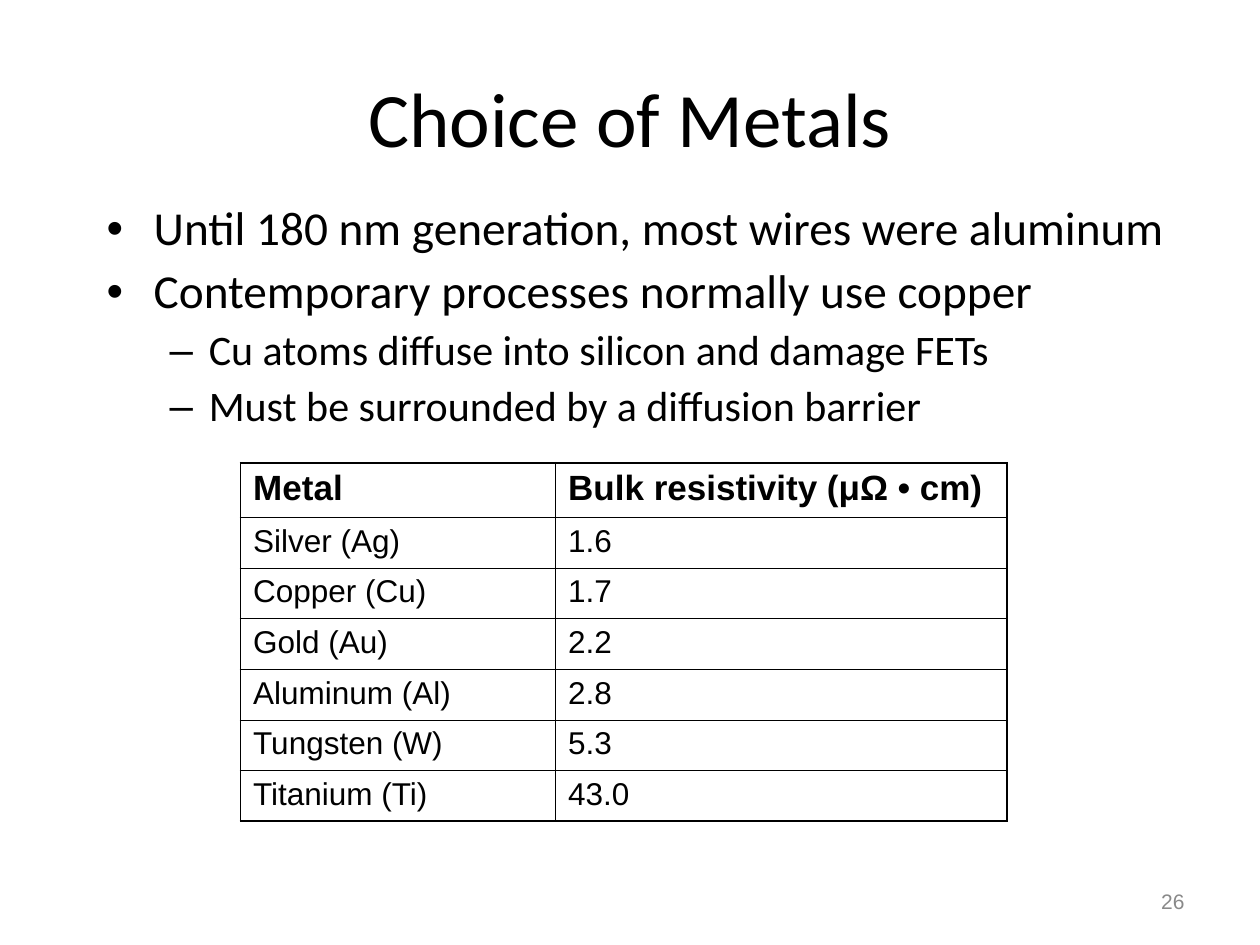
from dataclasses import dataclass

from pptx import Presentation
from pptx.dml.color import RGBColor
from pptx.enum.text import MSO_ANCHOR, PP_ALIGN
from pptx.oxml.ns import qn
from pptx.util import Cm, Pt
from lxml.etree import SubElement


@dataclass(frozen=True)
class Theme:
    ink: str = "000000"
    muted: str = "898989"
    paper: str = "FFFFFF"
    heading_font: str = "Calibri"
    table_font: str = "Arial"
    title_size: float = 44
    level_sizes: tuple = (27, 24)
    header_size: float = 20
    cell_size: float = 18
    number_size: float = 12
    thick_line: float = 1.08
    thin_line: float = 0.45


THEME = Theme()

# Per level: bullet sign, left margin, hanging indent, space before
LEVELS = (
    ("•", Cm(0.95), Cm(0.95), 6.8),
    ("–", Cm(2.06), Cm(0.79), 6),
)
POINTS = (
    (0, "Until 180 nm generation, most wires were aluminum"),
    (0, "Contemporary processes normally use copper"),
    (1, "Cu atoms diffuse into silicon and damage FETs"),
    (1, "Must be surrounded by a diffusion barrier"),
)
RESISTIVITY = (
    ("Metal", "Bulk resistivity (μΩ • cm)"),
    ("Silver (Ag)", "1.6"),
    ("Copper (Cu)", "1.7"),
    ("Gold (Au)", "2.2"),
    ("Aluminum (Al)", "2.8"),
    ("Tungsten (W)", "5.3"),
    ("Titanium (Ti)", "43.0"),
)


def style(paragraph, font, size, color=THEME.ink, bold=False):
    for run in paragraph.runs:
        run.font.name = font
        run.font.size = Pt(size)
        run.font.bold = bold
        run.font.color.rgb = RGBColor.from_string(color)


def add_frame(slide, left, top, width, height, anchor):
    frame = slide.shapes.add_textbox(left, top, width, height).text_frame
    frame.word_wrap = True
    frame.vertical_anchor = anchor
    return frame


def add_line(slide, box, text, align, font, size, color=THEME.ink):
    frame = add_frame(slide, *box, MSO_ANCHOR.MIDDLE)
    frame.text = text
    frame.paragraphs[0].alignment = align
    style(frame.paragraphs[0], font, size, color)


def set_bullet(paragraph, sign, margin, hanging):
    properties = paragraph._p.get_or_add_pPr()
    properties.set("marL", str(margin))
    properties.set("indent", str(-hanging))
    bullet_color = SubElement(properties, qn("a:buClr"))
    SubElement(bullet_color, qn("a:srgbClr"), val=THEME.ink)
    SubElement(properties, qn("a:buFont"), typeface="Arial")
    SubElement(properties, qn("a:buChar"), char=sign)


def add_points(slide, box, points):
    frame = add_frame(slide, *box, MSO_ANCHOR.TOP)
    frame.text = "\n".join(text for _, text in points)
    for index, (paragraph, (level, _)) in enumerate(zip(frame.paragraphs, points)):
        sign, margin, hanging, space = LEVELS[level]
        paragraph.level = level
        set_bullet(paragraph, sign, margin, hanging)
        paragraph.line_spacing = 0.9
        paragraph.space_before = Pt(space if index else 0)
        style(paragraph, THEME.heading_font, THEME.level_sizes[level])


def set_borders(cell, top, bottom):
    properties = cell._tc.get_or_add_tcPr()
    thick = THEME.thick_line
    for side, width in (("L", thick), ("R", thick), ("T", top), ("B", bottom)):
        line = SubElement(properties, qn(f"a:ln{side}"), w=str(Pt(width)))
        fill = SubElement(line, qn("a:solidFill"))
        SubElement(fill, qn("a:srgbClr"), val=THEME.ink)


def add_data_table(slide, left, top, column_widths, header_height, row_height, data):
    row_count = len(data)
    heights = [header_height] + [row_height] * (row_count - 1)
    table = slide.shapes.add_table(
        row_count, len(column_widths), left, top, sum(column_widths), sum(heights)
    ).table
    table.first_row = table.horz_banding = False
    for column, width in zip(table.columns, column_widths):
        column.width = width

    # Thick rules frame the table and the header; thin ones part the metals
    thick_rules = (0, 1, row_count)
    rules = [
        THEME.thick_line if i in thick_rules else THEME.thin_line
        for i in range(row_count + 1)
    ]
    for r, values in enumerate(data):
        table.rows[r].height = heights[r]
        is_header = r == 0
        size = THEME.header_size if is_header else THEME.cell_size
        for c, value in enumerate(values):
            cell = table.cell(r, c)
            set_borders(cell, rules[r], rules[r + 1])
            cell.fill.background()
            cell.text_frame.text = value
            style(cell.text_frame.paragraphs[0], THEME.table_font, size, bold=is_header)


def main():
    presentation = Presentation()
    presentation.slide_width, presentation.slide_height = Cm(25.4), Cm(19.05)
    slide = presentation.slides.add_slide(presentation.slide_layouts[6])
    slide.background.fill.solid()
    slide.background.fill.fore_color.rgb = RGBColor.from_string(THEME.paper)

    # Title
    title_box = (Cm(1.27), Cm(0.76), Cm(22.86), Cm(3.18))
    add_line(slide, title_box, "Choice of Metals", PP_ALIGN.CENTER,
             THEME.heading_font, THEME.title_size)

    # Key points
    add_points(slide, (Cm(1.9), Cm(4.01), Cm(22.2), Cm(5.1)), POINTS)

    # Resistivity of each metal
    add_data_table(slide, Cm(4.85), Cm(9.33), (Cm(6.35), Cm(9.1)),
                   Cm(1.1), Cm(1.02), RESISTIVITY)

    # Page number
    number_box = (Cm(18.21), Cm(17.65), Cm(5.92), Cm(1.02))
    add_line(slide, number_box, "26", PP_ALIGN.RIGHT,
             THEME.table_font, THEME.number_size, THEME.muted)

    presentation.save("out.pptx")


if __name__ == "__main__":
    main()
